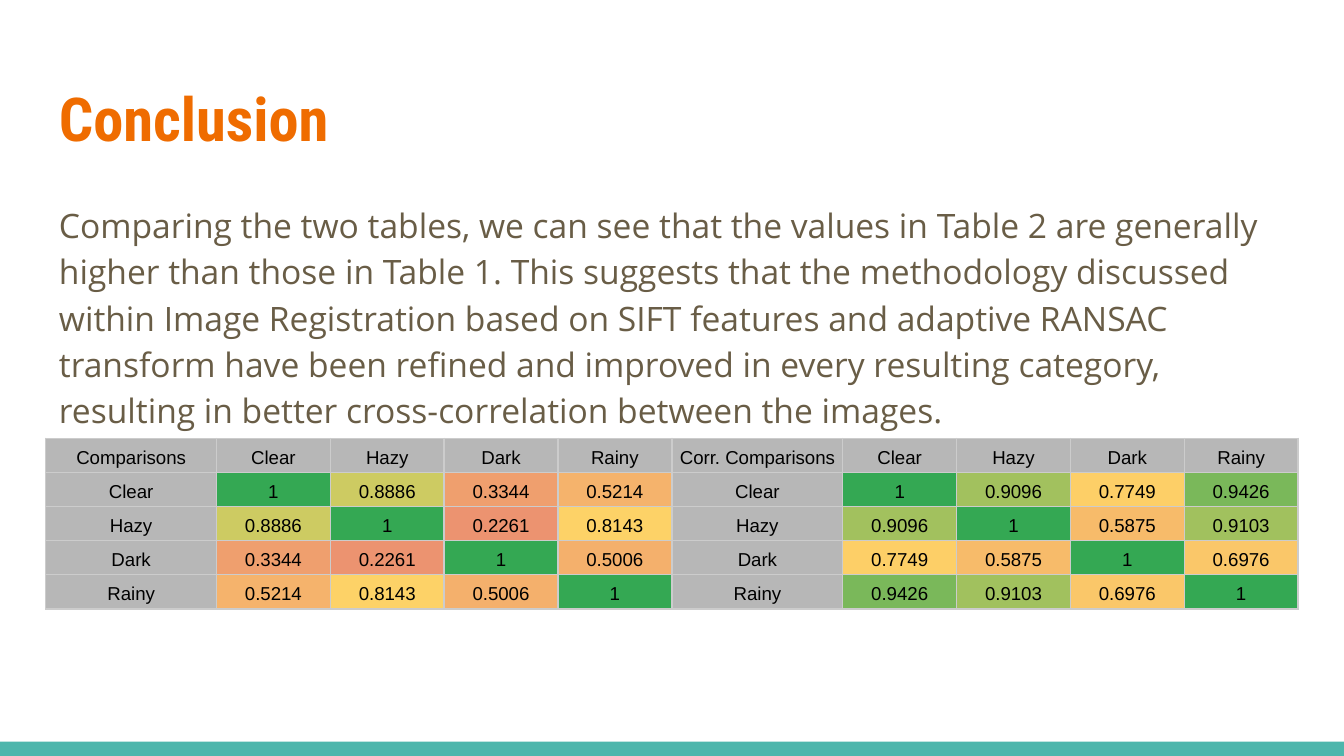
from lxml.etree import SubElement
from pptx import Presentation
from pptx.dml.color import RGBColor
from pptx.enum.shapes import MSO_SHAPE
from pptx.enum.text import MSO_ANCHOR as Anchor, PP_ALIGN as Align
from pptx.oxml.ns import qn
from pptx.util import Pt

WHITE = RGBColor(0xFF, 0xFF, 0xFF)
BLACK = RGBColor(0, 0, 0)
TEAL = RGBColor(0x4D, 0xB6, 0xAC)
ORANGE = RGBColor(0xEF, 0x6C, 0x00)
BROWN = RGBColor(0x69, 0x5D, 0x46)
GREY = RGBColor(0xB7, 0xB7, 0xB7)
BORDER = RGBColor(0xCC, 0xCC, 0xCC)
HEAT = {
    "1": RGBColor(0x34, 0xA8, 0x53),
    "0.9426": RGBColor(0x7A, 0xB8, 0x5A),
    "0.9103": RGBColor(0xA1, 0xC1, 0x5E),
    "0.9096": RGBColor(0xA2, 0xC1, 0x5E),
    "0.8886": RGBColor(0xCD, 0xCB, 0x62),
    "0.8143": RGBColor(0xFD, 0xD2, 0x67),
    "0.7749": RGBColor(0xFD, 0xCF, 0x67),
    "0.6976": RGBColor(0xFA, 0xC7, 0x69),
    "0.5875": RGBColor(0xF7, 0xBB, 0x6A),
    "0.5214": RGBColor(0xF5, 0xB3, 0x6C),
    "0.5006": RGBColor(0xF4, 0xB0, 0x6C),
    "0.3344": RGBColor(0xEF, 0x9F, 0x6E),
    "0.2261": RGBColor(0xEC, 0x93, 0x70),
}

SLIDE_WIDTH, SLIDE_HEIGHT = 720, 405
MARGIN = 24.5
LABEL_WIDTH, VALUE_WIDTH, ROW_HEIGHT = 91.5, 61, 16
CONDITIONS = ["Clear", "Hazy", "Dark", "Rainy"]
# Each row holds the values to the right of the diagonal.
TABLE_1 = [["0.8886", "0.3344", "0.5214"], ["0.2261", "0.8143"], ["0.5006"], []]
TABLE_2 = [["0.9096", "0.7749", "0.9426"], ["0.5875", "0.9103"], ["0.6976"], []]
BODY = (
    "Comparing the two tables, we can see that the values in Table 2 are generally "
    "higher than those in Table 1. This suggests that the methodology discussed "
    "within Image Registration based on SIFT features and adaptive RANSAC transform "
    "have been refined and improved in every resulting category, resulting in "
    "better cross-correlation between the images."
)


def write(frame, text, *, font, size, color, bold=False, align=Align.LEFT,
          line_spacing=1.0, space_after=0):
    """Put one formatted paragraph into a text frame."""
    paragraph = frame.paragraphs[0]
    paragraph.alignment = align
    paragraph.line_spacing = line_spacing
    paragraph.space_after = Pt(space_after)
    run = paragraph.add_run()
    run.text = text
    run.font.name, run.font.size, run.font.bold = font, Pt(size), bold
    run.font.color.rgb = color


def add_text(slide, left, top, width, height, text, anchor=Anchor.TOP, **text_format):
    """Add a wrapped text box with equal insets."""
    frame = slide.shapes.add_textbox(Pt(left), Pt(top), Pt(width), Pt(height)).text_frame
    frame.word_wrap = True
    frame.vertical_anchor = anchor
    frame.margin_left = frame.margin_right = Pt(7.2)
    frame.margin_top = frame.margin_bottom = Pt(7.2)
    write(frame, text, **text_format)


def add_footer_bar(slide, height):
    """Add the full-width bar at the foot of the slide."""
    bar = slide.shapes.add_shape(MSO_SHAPE.RECTANGLE, 0, Pt(SLIDE_HEIGHT - height),
                                 Pt(SLIDE_WIDTH), Pt(height))
    bar.shadow.inherit = False
    bar.fill.solid()
    bar.fill.fore_color.rgb = TEAL
    bar.line.fill.background()


def full_matrix(upper):
    """Mirror the upper triangle around a diagonal of ones."""
    size = len(upper)
    return [["1" if row == column else
             upper[min(row, column)][abs(row - column) - 1]
             for column in range(size)] for row in range(size)]


def set_borders(cell, width):
    """Draw all four borders of a cell."""
    properties = cell._tc.get_or_add_tcPr()
    for index, side in enumerate(("lnL", "lnR", "lnT", "lnB")):
        line = SubElement(properties, qn(f"a:{side}"), w=str(int(Pt(width))))
        fill = SubElement(line, qn("a:solidFill"))
        SubElement(fill, qn("a:srgbClr"), val=str(BORDER))
        properties.insert(index, line)


def add_correlation_table(slide, left, top, heading, upper, border_width):
    """Add a heat-coloured table of correlations between conditions."""
    rows = [[heading, *CONDITIONS]]
    rows += [[name, *values] for name, values in zip(CONDITIONS, full_matrix(upper))]
    widths = [LABEL_WIDTH] + [VALUE_WIDTH] * len(CONDITIONS)
    table = slide.shapes.add_table(len(rows), len(widths), Pt(left), Pt(top),
                                   Pt(sum(widths)), Pt(ROW_HEIGHT * len(rows))).table
    for column, width in zip(table.columns, widths):
        column.width = Pt(width)
    for row, texts in zip(table.rows, rows):
        row.height = Pt(ROW_HEIGHT)
        for cell, text in zip(row.cells, texts):
            cell.margin_left = cell.margin_right = Pt(2.25)
            cell.margin_top = cell.margin_bottom = Pt(2.25)
            cell.vertical_anchor = Anchor.BOTTOM
            cell.fill.solid()
            cell.fill.fore_color.rgb = HEAT.get(text, GREY)
            set_borders(cell, border_width)
            write(cell.text_frame, text, font="Arial", size=10, color=BLACK,
                  align=Align.CENTER, line_spacing=1.15)


def build_conclusion(slide):
    """Lay out the conclusion slide."""
    slide.background.fill.solid()
    slide.background.fill.fore_color.rgb = WHITE
    add_footer_bar(slide, 7.75)
    text_width = SLIDE_WIDTH - 2 * MARGIN
    add_text(slide, MARGIN, 35.3, text_width, 55.4, "Conclusion", anchor=Anchor.MIDDLE,
             font="Roboto Condensed", size=32.4, color=ORANGE, bold=True)
    add_text(slide, MARGIN, 99.4, text_width, 260, BODY, font="Open Sans", size=18,
             color=BROWN, line_spacing=1.15, space_after=12)
    table_top = 234.7
    add_correlation_table(slide, MARGIN, table_top, "Comparisons", TABLE_1, 0.75)
    add_correlation_table(slide, SLIDE_WIDTH / 2, table_top, "Corr. Comparisons",
                          TABLE_2, 0.68)


presentation = Presentation()
presentation.slide_width, presentation.slide_height = Pt(SLIDE_WIDTH), Pt(SLIDE_HEIGHT)
build_conclusion(presentation.slides.add_slide(presentation.slide_layouts[6]))
presentation.save("out.pptx")
